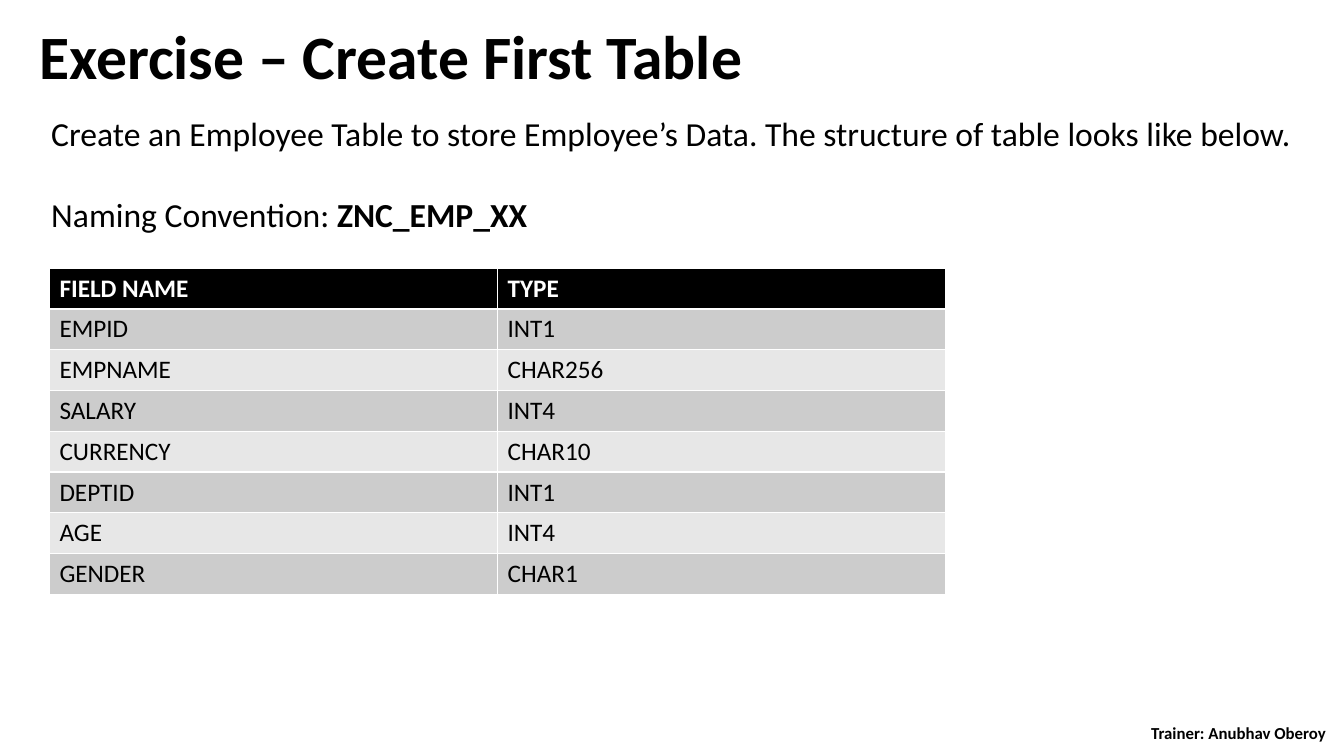
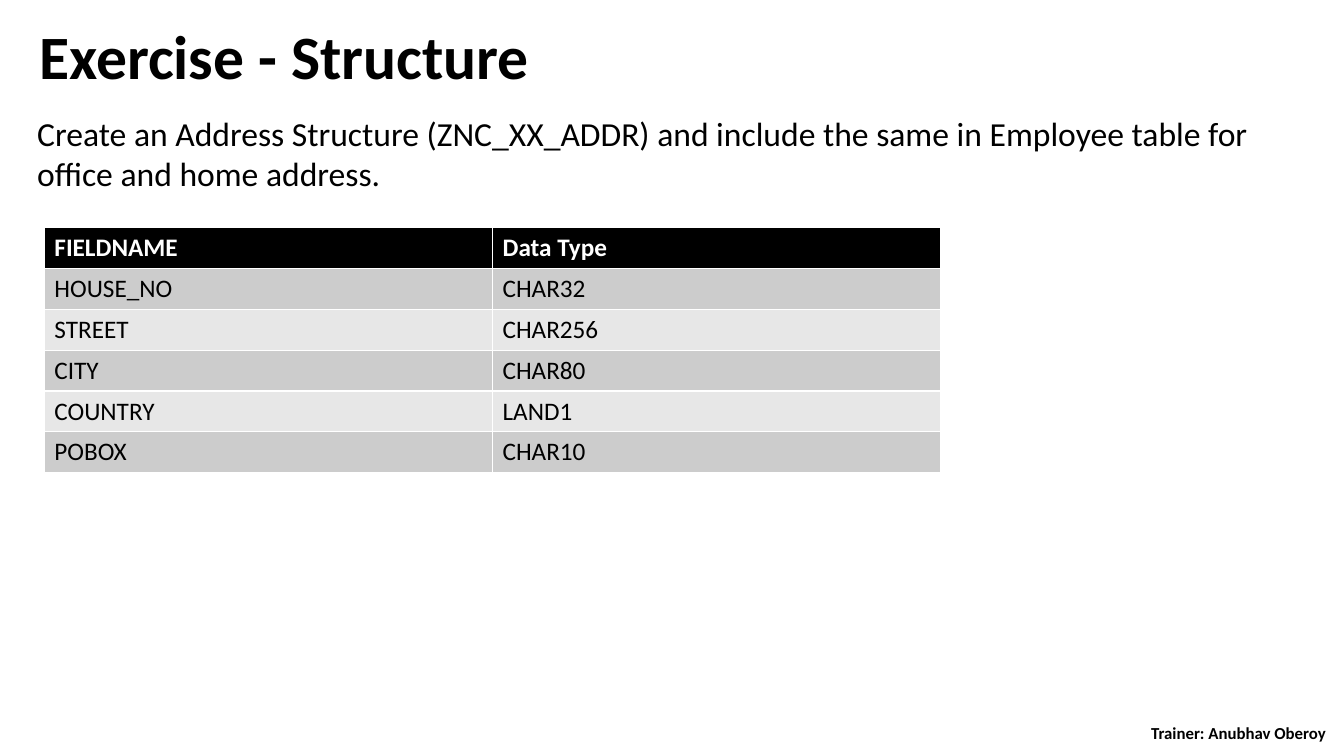
from dataclasses import dataclass

from pptx import Presentation
from pptx.dml.color import RGBColor
from pptx.enum.text import MSO_ANCHOR, MSO_AUTO_SIZE, PP_ALIGN
from pptx.slide import Slide
from pptx.text.text import Font
from pptx.util import Inches, Pt

BLACK = RGBColor(0x00, 0x00, 0x00)
WHITE = RGBColor(0xFF, 0xFF, 0xFF)
DARK = RGBColor(0xCC, 0xCC, 0xCC)
LIGHT = RGBColor(0xE7, 0xE7, 0xE7)

# Text formats
TITLE = {"name": "Calibri", "size": Pt(44), "bold": True}
BODY = {"name": "Calibri", "size": Pt(24), "bold": False}
STRONG = BODY | {"bold": True}
FOOT = {"name": "Calibri", "size": Pt(12), "bold": True}
HEAD = {"name": "Calibri", "size": Pt(18), "bold": True}
CELL = HEAD | {"bold": False}

# Frame settings
TOP = {"word_wrap": True, "vertical_anchor": MSO_ANCHOR.TOP}
MIDDLE = {"word_wrap": True, "vertical_anchor": MSO_ANCHOR.MIDDLE}
GROW = TOP | {"auto_size": MSO_AUTO_SIZE.SHAPE_TO_FIT_TEXT}

WIDTH = Inches(8.89)
ROW = Inches(0.81) // 2


@dataclass(frozen=True)
class Box:
    left: float
    top: float
    width: float
    height: float


@dataclass(frozen=True)
class Run:
    text: str
    style: dict


@dataclass(frozen=True)
class Grid:
    left: float
    top: float
    rows: list[tuple[str, str]]


@dataclass(frozen=True)
class Page:
    title: str
    box: Box
    body: list[list[Run]]
    grid: Grid


PAGES = [
    Page(
        "Exercise – Create First Table",
        Box(0.41, 1.07, 12.65, 1.31),
        [
            [Run("Create an Employee Table to store Employee’s Data. "
                 "The structure of table looks like below.", BODY)],
            [Run("Naming Convention: ", BODY), Run("ZNC_EMP_XX", STRONG)],
        ],
        Grid(0.49, 2.66, [
            ("FIELD NAME", "TYPE"),
            ("EMPID", "INT1"),
            ("EMPNAME", "CHAR256"),
            ("SALARY", "INT4"),
            ("CURRENCY", "CHAR10"),
            ("DEPTID", "INT1"),
            ("AGE", "INT4"),
            ("GENDER", "CHAR1"),
        ]),
    ),
    Page(
        "Exercise - Structure",
        Box(0.27, 1.07, 12.79, 0.91),
        [[Run("Create an Address Structure (ZNC_XX_ADDR) and include the same "
              "in Employee table for office and home address.", BODY)]],
        Grid(0.44, 2.26, [
            ("FIELDNAME", "Data Type"),
            ("HOUSE_NO", "CHAR32"),
            ("STREET", "CHAR256"),
            ("CITY", "CHAR80"),
            ("COUNTRY", "LAND1"),
            ("POBOX", "CHAR10"),
        ]),
    ),
]


def apply(item: object, style: dict) -> None:
    for key, value in style.items():
        setattr(item, key, value)


def paint(font: Font, style: dict, color: RGBColor = BLACK) -> None:
    apply(font, style)
    font.color.rgb = color


def write(slide: Slide, box: Box, paras: list[list[Run]], frame: dict, para: dict) -> None:
    area = slide.shapes.add_textbox(
        Inches(box.left), Inches(box.top), Inches(box.width), Inches(box.height)
    ).text_frame
    apply(area, frame)
    for index, runs in enumerate(paras):
        line = area.add_paragraph() if index else area.paragraphs[0]
        apply(line, para)
        if index:
            line.space_before = Pt(29)
        for part in runs:
            run = line.add_run()
            run.text = part.text
            paint(run.font, part.style)


def tabulate(slide: Slide, grid: Grid) -> None:
    # The default table style supplies the white rules
    count = len(grid.rows)
    table = slide.shapes.add_table(
        count, 2, Inches(grid.left), Inches(grid.top), WIDTH, ROW * count
    ).table
    for index, texts in enumerate(grid.rows):
        table.rows[index].height = ROW
        fill = (DARK if index % 2 else LIGHT) if index else BLACK
        style, color = (CELL, BLACK) if index else (HEAD, WHITE)
        for cell, text in zip(table.rows[index].cells, texts):
            cell.fill.solid()
            cell.fill.fore_color.rgb = fill
            cell.text = text
            paint(cell.text_frame.paragraphs[0].runs[0].font, style, color)


def build(slide: Slide, page: Page) -> None:
    # Title and footer
    write(slide, Box(0.29, 0.21, 12.35, 0.78), [[Run(page.title, TITLE)]],
          TOP, {"line_spacing": 0.9})
    write(slide, Box(11.07, 7.16, 2.43, 0.22), [[Run("Trainer: Anubhav Oberoy", FOOT)]],
          MIDDLE, {"alignment": PP_ALIGN.CENTER})
    # Task and table
    write(slide, page.box, page.body, GROW, {})
    tabulate(slide, page.grid)


def main() -> None:
    deck = Presentation()
    deck.slide_width, deck.slide_height = Inches(13.33), Inches(7.5)
    for page in PAGES:
        build(deck.slides.add_slide(deck.slide_layouts[6]), page)
    deck.save("out.pptx")


if __name__ == "__main__":
    main()
